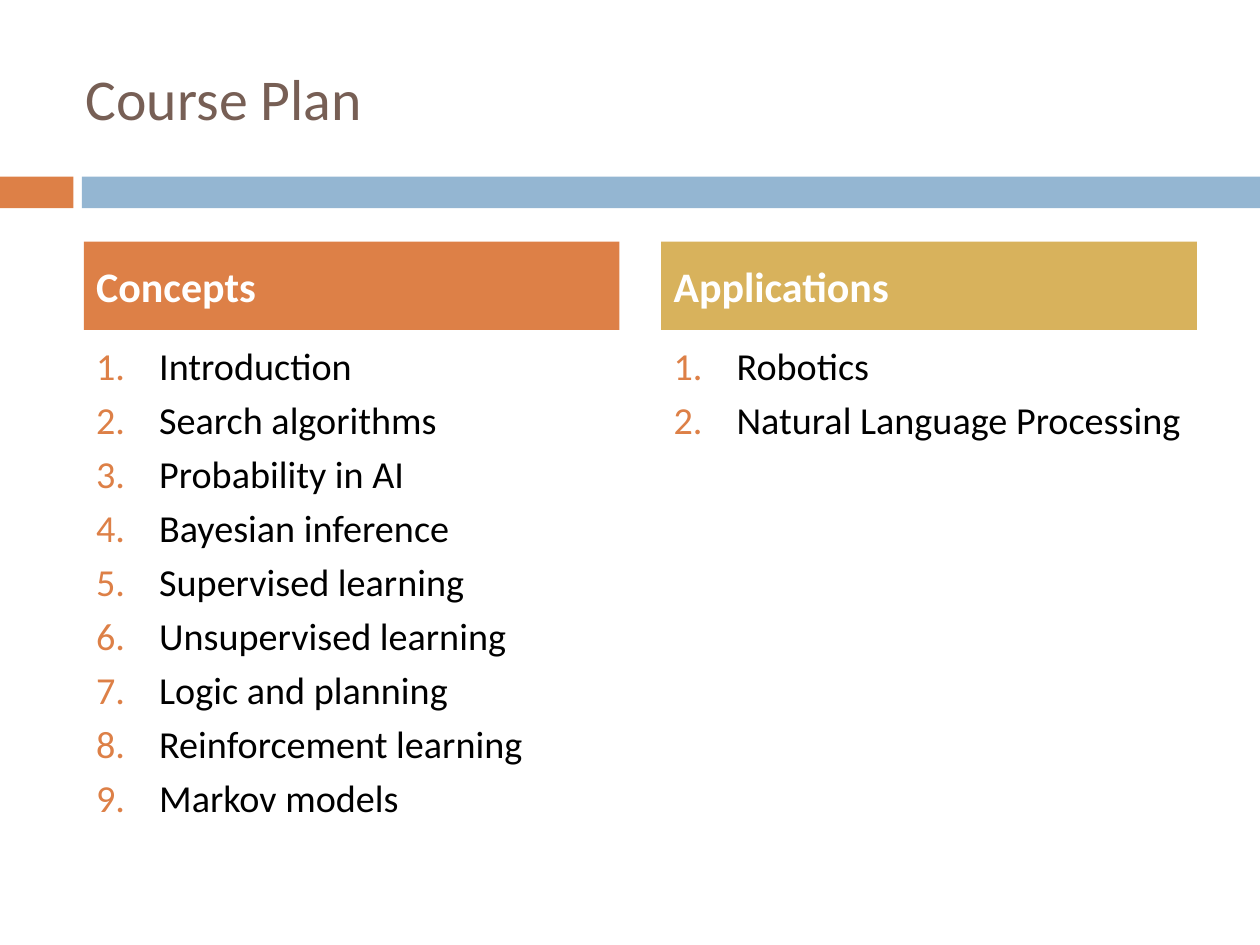
import pptx
import pptx.util
import pptx.dml.color
import pptx.enum.shapes
import pptx.enum.text
import lxml.etree

Cm = pptx.util.Cm
Pt = pptx.util.Pt
RGBColor = pptx.dml.color.RGBColor
Anchor = pptx.enum.text.MSO_ANCHOR

ORANGE = RGBColor(0xDD, 0x80, 0x47)
BLUE = RGBColor(0x94, 0xB6, 0xD2)
GOLD = RGBColor(0xD8, 0xB2, 0x5C)
BROWN = RGBColor(0x77, 0x5F, 0x55)
BLACK = RGBColor(0, 0, 0)
WHITE = RGBColor(255, 255, 255)

TITLE = "Course Plan"
COLUMNS = [
    ("Concepts", ORANGE, [
        "Introduction",
        "Search algorithms",
        "Probability in AI",
        "Bayesian inference",
        "Supervised learning",
        "Unsupervised learning",
        "Logic and planning",
        "Reinforcement learning",
        "Markov models",
    ]),
    ("Applications", GOLD, ["Robotics", "Natural Language Processing"]),
]
BANDS = [(0, 1.48, ORANGE), (1.65, 23.75, BLUE)]

COLUMN_LEFT, COLUMN_WIDTH, COLUMN_STEP = 1.69, 10.8, 11.64
HEADER_TOP, HEADER_HEIGHT = 4.87, 1.78
LIST_TOP, LIST_HEIGHT = 6.77, 9.95
BAND_TOP, BAND_HEIGHT = 3.56, 0.64
NUMBER_INDENT = Cm(1.27)


def add_block(page, left, top, width, height, color):
    block = page.shapes.add_shape(
        pptx.enum.shapes.MSO_SHAPE.RECTANGLE, Cm(left), Cm(top), Cm(width), Cm(height))
    block.shadow.inherit = False
    block.fill.solid()
    block.fill.fore_color.rgb = color
    block.line.fill.background()
    return block


def number_paragraph(para, color):
    properties = para._p.get_or_add_pPr()
    properties.set("marL", str(NUMBER_INDENT))
    properties.set("indent", str(-NUMBER_INDENT))
    ns = pptx.oxml.ns.qn
    bullet_color = lxml.etree.SubElement(properties, ns("a:buClr"))
    lxml.etree.SubElement(bullet_color, ns("a:srgbClr"), val=str(color))
    lxml.etree.SubElement(properties, ns("a:buFont"), typeface="+mj-lt")
    lxml.etree.SubElement(properties, ns("a:buAutoNum"), type="arabicPeriod")


def write_text(box, lines, size, color, bold=False, anchor=Anchor.MIDDLE,
               space_before=0, number_color=None):
    frame = box.text_frame
    frame.word_wrap = True
    frame.vertical_anchor = anchor
    for index, line in enumerate(lines):
        para = frame.add_paragraph() if index else frame.paragraphs[0]
        para.alignment = pptx.enum.text.PP_ALIGN.LEFT
        para.space_before = Pt(space_before)
        if number_color is not None:
            number_paragraph(para, number_color)
        span = para.add_run()
        span.text = line
        span.font.name = "Calibri"
        span.font.size = Pt(size)
        span.font.bold = bold
        span.font.color.rgb = color


def main():
    deck = pptx.Presentation()
    deck.slide_width, deck.slide_height = Cm(25.4), Cm(19.05)
    page = deck.slides.add_slide(deck.slide_layouts[6])

    for left, width, color in BANDS:
        add_block(page, left, BAND_TOP, width, BAND_HEIGHT, color)

    title = page.shapes.add_textbox(Cm(1.48), Cm(0.76), Cm(22.65), Cm(2.41))
    write_text(title, [TITLE], size=33, color=BROWN)

    for index, (heading, color, topics) in enumerate(COLUMNS):
        left = COLUMN_LEFT + index * COLUMN_STEP
        topic_list = page.shapes.add_textbox(
            Cm(left), Cm(LIST_TOP), Cm(COLUMN_WIDTH), Cm(LIST_HEIGHT))
        write_text(topic_list, topics, size=21.8, color=BLACK, anchor=Anchor.TOP,
                   space_before=4.7, number_color=ORANGE)
        header = add_block(page, left, HEADER_TOP, COLUMN_WIDTH, HEADER_HEIGHT, color)
        write_text(header, [heading], size=24, color=WHITE, bold=True, space_before=5.2)

    deck.save("out.pptx")


if __name__ == "__main__":
    main()
